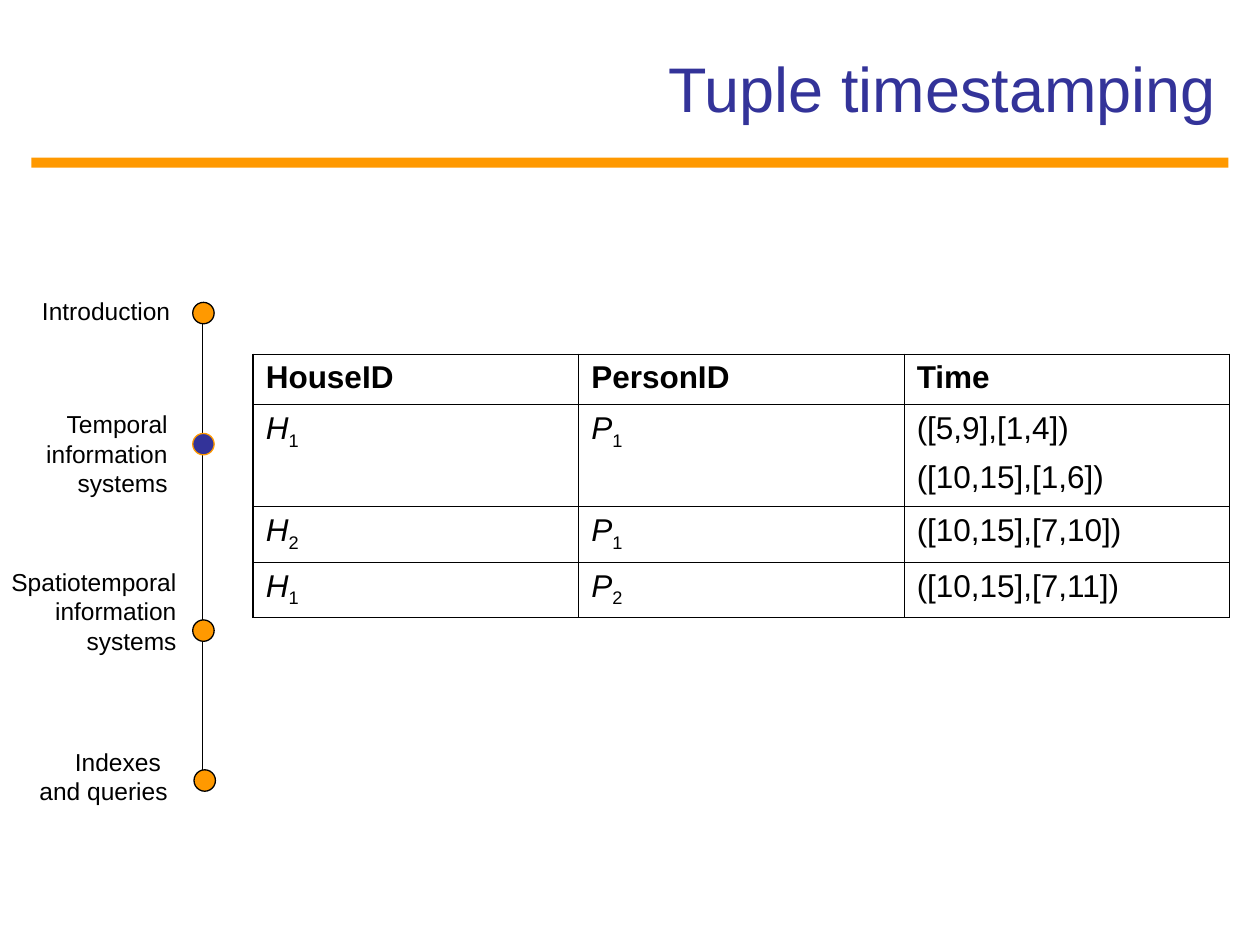
from lxml import etree
from pptx import Presentation
from pptx.dml.color import RGBColor
from pptx.enum.shapes import MSO_CONNECTOR, MSO_SHAPE
from pptx.enum.text import MSO_ANCHOR, MSO_AUTO_SIZE, PP_ALIGN
from pptx.oxml.ns import qn
from pptx.util import Inches, Pt

LEFT, RIGHT = PP_ALIGN.LEFT, PP_ALIGN.RIGHT
MIDDLE = MSO_ANCHOR.MIDDLE
FIXED = MSO_AUTO_SIZE.NONE
RECT, OVAL = MSO_SHAPE.RECTANGLE, MSO_SHAPE.OVAL
STRAIGHT = MSO_CONNECTOR.STRAIGHT

BLACK = RGBColor(0x00, 0x00, 0x00)
ORANGE = RGBColor(0xFF, 0x99, 0x00)
BLUE = RGBColor(0x33, 0x33, 0x99)

FONT = "Arial"
DOT = 0.17
THICK, THIN = 1.08, 0.45

STEPS = [
    ("Introduction", (0.13, 2.3, 1.32, 0.34), (1.53, 2.4), False),
    ("Temporal\ninformation\nsystems", (0.13, 3.2, 1.3, 0.8), (1.53, 3.44), True),
    ("Spatiotemporal\ninformation\nsystems", (-0.2, 4.45, 1.7, 0.8), (1.53, 4.92), False),
    ("Indexes \nand queries", (0.13, 5.88, 1.3, 0.57), (1.54, 6.11), False),
]
ROWS = [
    ("HouseID", "PersonID", "Time"),
    ("H_1", "P_1", "([5,9],[1,4])\n([10,15],[1,6])"),
    ("H_2", "P_1", "([10,15],[7,10])"),
    ("H_1", "P_2", "([10,15],[7,11])"),
]
HEIGHTS = [0.4, 0.81, 0.44, 0.44]


def write(frame, text, size=14, color=BLACK, align=LEFT, bold=False, gap=0):
    """Fill a text frame line by line; an underscore marks a subscript."""
    for num, line in enumerate(text.split("\n")):
        para = frame.add_paragraph() if num else frame.paragraphs[0]
        para.alignment = align
        para.space_before = Pt(gap if num else 0)
        para.space_after = Pt(0)
        base, mark, sub = line.partition("_")
        for part in filter(None, (base, sub)):
            run = para.add_run()
            run.text = part
            font = run.font
            font.name, font.size, font.bold = FONT, Pt(size), bold
            font.color.rgb = color
            font.italic = bool(mark) and part is base
            if mark and part is sub:
                run._r.get_or_add_rPr().set("baseline", "-25000")


def add_form(slide, kind, box, fill, edge=None):
    """Add a flat shape with an optional outline."""
    form = slide.shapes.add_shape(kind, *map(Inches, box))
    form.shadow.inherit = False
    form.fill.solid()
    form.fill.fore_color.rgb = fill
    if edge is None:
        form.line.fill.background()
    else:
        form.line.color.rgb = edge
        form.line.width = Pt(0.75)


def add_head(slide, box, text):
    """Place the title and the rule below it."""
    title = slide.shapes.title
    title.left, title.top, title.width, title.height = map(Inches, box)
    frame = title.text_frame
    frame.auto_size = FIXED
    frame.vertical_anchor = MIDDLE
    write(frame, text, size=36, color=BLUE, align=RIGHT)
    add_form(slide, RECT, (0.25, 1.25, 9.5, 0.08), ORANGE)


def add_track(slide, x, top, end):
    """Draw the outline track with its labels and dots."""
    line = slide.shapes.add_connector(STRAIGHT, *map(Inches, (x, top, x, end)))
    line.line.color.rgb = BLACK
    line.line.width = Pt(0.75)
    etree.SubElement(line._element.spPr, qn("a:effectLst"))
    for text, box, spot, now in STEPS:
        frame = slide.shapes.add_textbox(*map(Inches, box)).text_frame
        frame.word_wrap = True
        write(frame, text, align=RIGHT)
        fill, edge = (BLUE, ORANGE) if now else (ORANGE, BLACK)
        add_form(slide, OVAL, (*spot, DOT, DOT), fill, edge)


def add_edge(cell, side, width):
    """Draw one black border of a cell."""
    line = etree.SubElement(cell._tc.get_or_add_tcPr(), qn("a:ln" + side))
    line.set("w", str(Pt(width)))
    fill = etree.SubElement(line, qn("a:solidFill"))
    etree.SubElement(fill, qn("a:srgbClr")).set("val", str(BLACK))


def add_grid(slide, box):
    """Place the table with thin lines and a thick left edge."""
    rows, cols = len(ROWS), len(ROWS[0])
    table = slide.shapes.add_table(rows, cols, *map(Inches, box)).table
    table.first_row = table.horz_banding = False
    for col in table.columns:
        col.width = Inches(box[2] / cols)
    for r, texts in enumerate(ROWS):
        table.rows[r].height = Inches(HEIGHTS[r])
        for c, text in enumerate(texts):
            cell = table.cell(r, c)
            for side in "LRTB":
                add_edge(cell, side, THICK if side == "L" and c == 0 else THIN)
            cell.fill.background()
            write(cell.text_frame, text, size=18, bold=r == 0, gap=7.9)


def main():
    """Build and save the slide."""
    deck = Presentation()
    deck.slide_width, deck.slide_height = Inches(10), Inches(7.5)
    slide = deck.slides.add_slide(deck.slide_layouts[5])
    add_head(slide, (0.75, 0.22, 9, 0.95), "Tuple timestamping")
    add_track(slide, 1.61, 2.57, 6.19)
    add_grid(slide, (2.01, 2.81, 7.75, sum(HEIGHTS)))
    deck.save("out.pptx")


if __name__ == "__main__":
    main()
